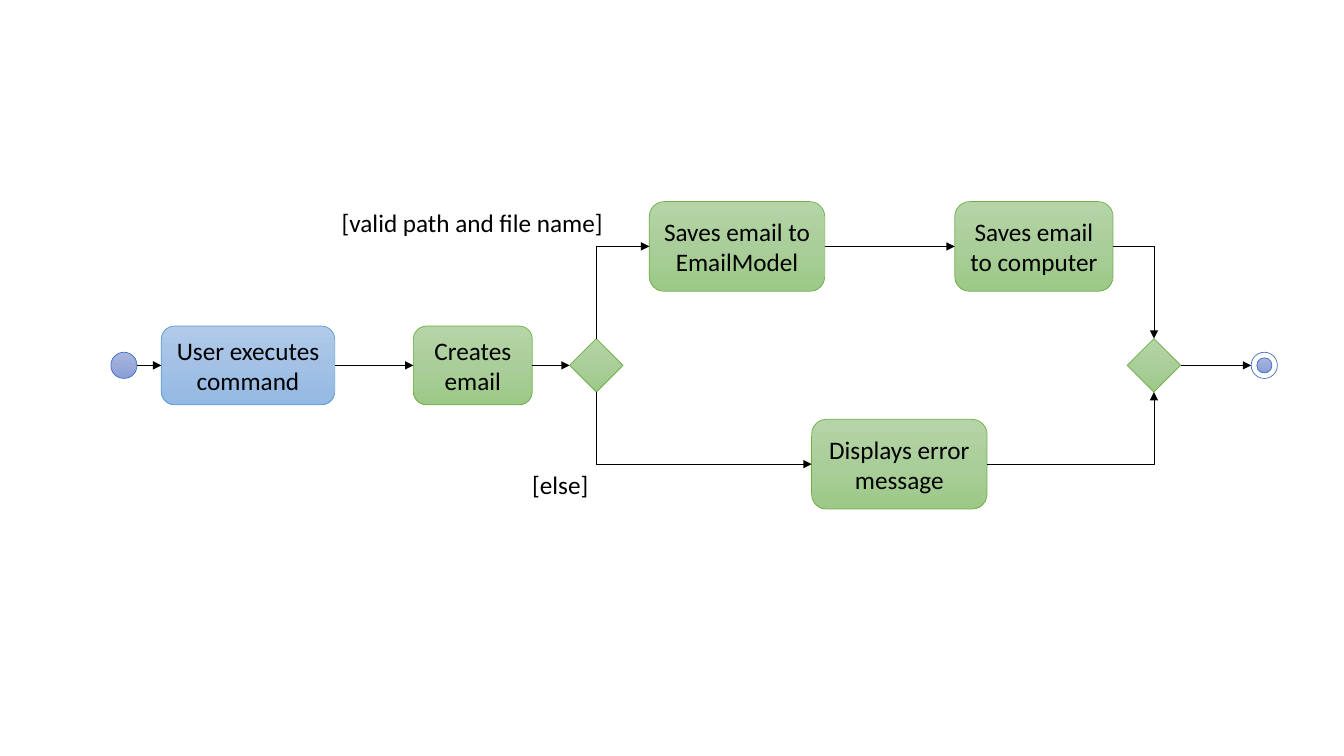
from copy import deepcopy

from pptx import Presentation
from pptx import util as u
from pptx.dml.color import RGBColor
from pptx.enum import shapes, text
from pptx.oxml.ns import qn
from lxml import etree

CELL = u.Inches(0.1)  # grid square; the slide is 133.33 columns by 75 rows
COLORS = {"text": "000000", "arrow": "000000", "paper": "FFFFFF",
          "green": "70AD47", "blue": "5B9BD5", "indigo": "4472C4"}
GRADIENTS = {"green": ("B5D5A7", "AACE9A", "9CC987"),
             "blue": ("B1CBE9", "A3C1E5", "93B9E4"),
             "indigo": ("A8B7DF", "9AABD9", "889ED7")}
TOP, LEFT, BOTTOM, RIGHT = range(4)
KIND = shapes.MSO_SHAPE


def cells(*counts):
    return [round(count * CELL) for count in counts]


def color(name):
    return RGBColor.from_string(COLORS[name])


def fill_gradient(shape, name):
    """Fill from top to bottom through three evenly spaced stops."""
    shape.fill.gradient()
    shape.fill.gradient_angle = 270
    stop_list = shape._element.spPr.find(qn("a:gradFill")).find(qn("a:gsLst"))
    stop_list.append(deepcopy(stop_list[-1]))
    for index, stop in enumerate(shape.fill.gradient_stops):
        stop.position = index / 2
        stop.color.rgb = RGBColor.from_string(GRADIENTS[name][index])


def write(shape, words, align):
    frame = shape.text_frame
    frame.word_wrap = True
    frame.text = words
    para = frame.paragraphs[0]
    para.alignment = align
    para.font.size = u.Pt(18)
    para.font.name = "Calibri"
    para.font.color.rgb = color("text")


def add_node(parent, kind, box, name, words="", plain=False):
    node = parent.add_shape(kind, *cells(*box))
    node.shadow.inherit = False
    if plain:
        node.fill.solid()
        node.fill.fore_color.rgb = color("paper")
    else:
        fill_gradient(node, name)
    node.line.color.rgb = color(name)
    node.line.width = u.Pt(0.5)
    if words:
        node.text_frame.vertical_anchor = text.MSO_ANCHOR.MIDDLE
        write(node, words, text.PP_ALIGN.CENTER)
    return node


def add_label(page, box, words):
    write(page.shapes.add_textbox(*cells(*box)), words, text.PP_ALIGN.LEFT)


def side_point(node, side):
    across = {LEFT: 0, RIGHT: 1}.get(side, 0.5)
    down = {TOP: 0, BOTTOM: 1}.get(side, 0.5)
    return (round(node.left + across * node.width),
            round(node.top + down * node.height))


def is_round(node):
    return (node.shape_type == shapes.MSO_SHAPE_TYPE.GROUP
            or node.auto_shape_type == KIND.OVAL)


def add_flow(page, source, source_side, target, target_side):
    """Arrow between two sides, with one corner when the lanes differ."""
    start, end = side_point(source, source_side), side_point(target, target_side)
    bent = TOP in (source_side, target_side) or BOTTOM in (source_side, target_side)
    kinds = shapes.MSO_CONNECTOR
    flow = page.shapes.add_connector(kinds.ELBOW if bent else kinds.STRAIGHT,
                                     *start, *end)
    if not is_round(source):
        flow.begin_connect(source, source_side)
    if not is_round(target):
        flow.end_connect(target, target_side)
    properties = flow._element.spPr
    if bent:
        properties.find(qn("a:prstGeom")).set("prst", "bentConnector2")
    if source_side in (TOP, BOTTOM):
        # A one-corner connector runs sideways first, so turn it a quarter
        wide, high = end[0] - start[0], end[1] - start[1]
        mid_x, mid_y = (start[0] + end[0]) // 2, (start[1] + end[1]) // 2
        flow.begin_x, flow.end_x = mid_x - high // 2, mid_x + high // 2
        flow.begin_y, flow.end_y = mid_y + wide // 2, mid_y - wide // 2
        properties.find(qn("a:xfrm")).set("rot", str(90 * 60000))
    flow.line.color.rgb = color("arrow")
    flow.line.width = u.Pt(0.5)
    outline = properties.find(qn("a:ln"))
    etree.SubElement(outline, qn("a:tailEnd"), type="triangle")
    etree.SubElement(properties, qn("a:effectLst"))


def draw_activity(page, left, top):
    """Activity diagram on three lanes, placed from its top left corner."""
    upper, middle, lower = (top + lane for lane in (4.45, 16.25, 26.05))

    def node(kind, column, lane, wide, high, name, words="", **options):
        box = (left + column, lane - high / 2, wide, high)
        return add_node(options.pop("parent", page.shapes), kind, box,
                        name, words, **options)

    # Start and end
    start = node(KIND.OVAL, 0, middle, 2.6, 2.6, "indigo")
    finish = page.shapes.add_group_shape()
    node(KIND.OVAL, 113.1, middle, 2.6, 2.6, "indigo",
         parent=finish.shapes, plain=True)
    node(KIND.OVAL, 113.65, middle, 1.5, 1.5, "indigo", parent=finish.shapes)

    # Actions
    action = KIND.ROUNDED_RECTANGLE
    command = node(action, 5, middle, 17.2, 7.8, "blue", "User executes command")
    create = node(action, 30, middle, 11.8, 7.8, "green", "Creates email")
    model = node(action, 53.4, upper, 17.4, 8.9, "green", "Saves email to EmailModel")
    computer = node(action, 83.7, upper, 15.7, 8.9, "green", "Saves email to computer")
    error = node(action, 69.5, lower, 17.4, 8.9, "green", "Displays error message")

    # Branch and merge
    branch, merge = (node(KIND.DIAMOND, column, middle, 5.3, 5.3, "green")
                     for column in (45.5, 100.8))

    # Guards
    add_label(page, (left + 21.9, top + 0.1, 28.2, 4), "[valid path and file name]")
    add_label(page, (left + 40.8, top + 26.1, 9.3, 4), "[else]")

    # Flows
    for before, after in ((start, command), (command, create), (create, branch),
                          (model, computer), (merge, finish)):
        add_flow(page, before, RIGHT, after, LEFT)
    add_flow(page, branch, TOP, model, LEFT)
    add_flow(page, branch, BOTTOM, error, LEFT)
    add_flow(page, computer, RIGHT, merge, TOP)
    add_flow(page, error, RIGHT, merge, BOTTOM)


def main():
    deck = Presentation()
    deck.slide_width, deck.slide_height = u.Inches(13.33), u.Inches(7.5)
    page = deck.slides.add_slide(deck.slide_layouts[6])
    draw_activity(page, 11, 20)
    deck.save("out.pptx")


if __name__ == "__main__":
    main()
